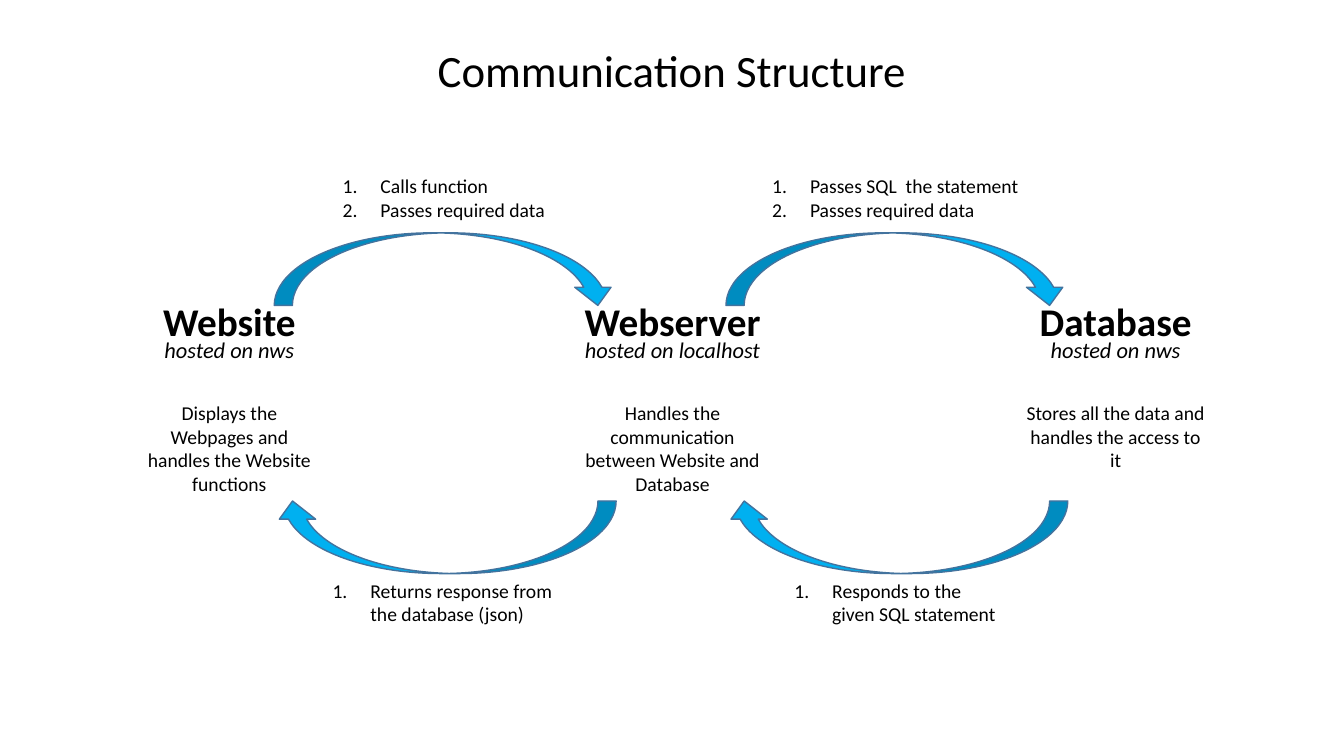
from lxml.etree import SubElement
from pptx import Presentation
from pptx.dml.color import RGBColor
from pptx.enum.shapes import MSO_SHAPE as SHAPE
from pptx.enum.text import MSO_ANCHOR as ANCHOR, PP_ALIGN as ALIGN
from pptx.oxml.ns import qn
from pptx.util import Inches, Pt

COLORS = {"text": "000000", "arrow": "00B0F0", "outline": "43739E"}
FONT = "Calibri"
W, H = Inches(13.33), Inches(7.5)

STATIONS = [
    ("Website", "hosted on nws", 14.78,
     "Displays the Webpages and handles the Website functions"),
    ("Webserver", "hosted on localhost", 19.13,
     "Handles the communication between Website and Database"),
    ("Database", "hosted on nws", 14.78,
     "Stores all the data and handles the access to it"),
]
LOOPS = [
    (["Calls function", "Passes required data"], 16.73,
     ["Returns response from the database (json)"], 18.23),
    (["Passes SQL  the statement", "Passes required data"], 20.03,
     ["Responds to the given SQL statement"], 16.73),
]


def rgb(name):
    """Look up a named colour."""
    return RGBColor.from_string(COLORS[name])


def place(x, y, w, h):
    """Turn percentages of the slide into lengths."""
    return [round(share * side / 100) for share, side in zip((x, y, w, h), (W, H, W, H))]


def add_text(s, box, lines, size=14, bold=False, italic=False, numbered=False,
             anchor=ANCHOR.TOP):
    """Write lines into a text box, centred or as a numbered list."""
    tf = s.shapes.add_textbox(*place(*box)).text_frame
    tf.word_wrap = True
    tf.vertical_anchor = anchor
    for i, line in enumerate(lines):
        p = tf.add_paragraph() if i else tf.paragraphs[0]
        p.alignment = ALIGN.LEFT if numbered else ALIGN.CENTER
        if numbered:
            pPr = p._p.get_or_add_pPr()
            pPr.set("marL", str(Pt(27)))
            pPr.set("indent", str(-Pt(27)))
            SubElement(pPr, qn("a:buFont"), typeface="+mj-lt")
            SubElement(pPr, qn("a:buAutoNum"), type="arabicPeriod")
        r = p.add_run()
        r.text = line
        r.font.name, r.font.size = FONT, Pt(size)
        r.font.bold, r.font.italic = bold, italic
        r.font.color.rgb = rgb("text")


def add_arrow(s, box, rotation=0):
    """Draw a curved arrow."""
    sp = s.shapes.add_shape(SHAPE.CURVED_DOWN_ARROW, *place(*box))
    sp.rotation = rotation
    sp.shadow.inherit = False
    sp.fill.solid()
    sp.fill.fore_color.rgb = rgb("arrow")
    sp.line.color.rgb = rgb("outline")
    sp.line.width = Pt(1)


def add_station(s, box, name, host, host_w, role):
    """Stack a station's name, host and role in its box."""
    x, y, w, h = box
    add_text(s, (x, y, w, 7.6), [name], size=28, bold=True)
    add_text(s, (x + (w - host_w) / 2, y + 5.2, host_w, 4.93), [host], size=16, italic=True)
    add_text(s, (x, y + 13.73, w, h - 13.73), [role])


def add_loop(s, box, request, request_w, response, response_w):
    """Draw a request arrow above and a response arrow below, with their notes."""
    x, y, w, h = box
    note_h, arrow_h = 7.6, 9.6
    add_arrow(s, (x, y + 8.4, w, arrow_h))
    add_arrow(s, (x, y + h - note_h - arrow_h, w, arrow_h), rotation=180)
    for lines, note_w, top in ((request, request_w, y),
                               (response, response_w, y + h - note_h)):
        add_text(s, (x + (w - note_w) / 2, top, note_w, note_h), lines, numbered=True)


def add_communication_slide(prs):
    """Build the slide from its title, stations and loops."""
    s = prs.slides.add_slide(prs.slide_layouts[6])
    add_text(s, (0, 0.4, 100, 13.07), ["Communication Structure"], size=32,
             anchor=ANCHOR.BOTTOM)
    for i, station in enumerate(STATIONS):
        add_station(s, (9.68 + 32.97 * i, 38.67, 14.78, 27.6), *station)
    for i, loop in enumerate(LOOPS):
        add_loop(s, (20.41 + 33.61 * i, 22.4, 25.43, 61.07), *loop)


def main():
    """Create and save the presentation."""
    prs = Presentation()
    prs.slide_width, prs.slide_height = W, H
    add_communication_slide(prs)
    prs.save("out.pptx")


if __name__ == "__main__":
    main()
